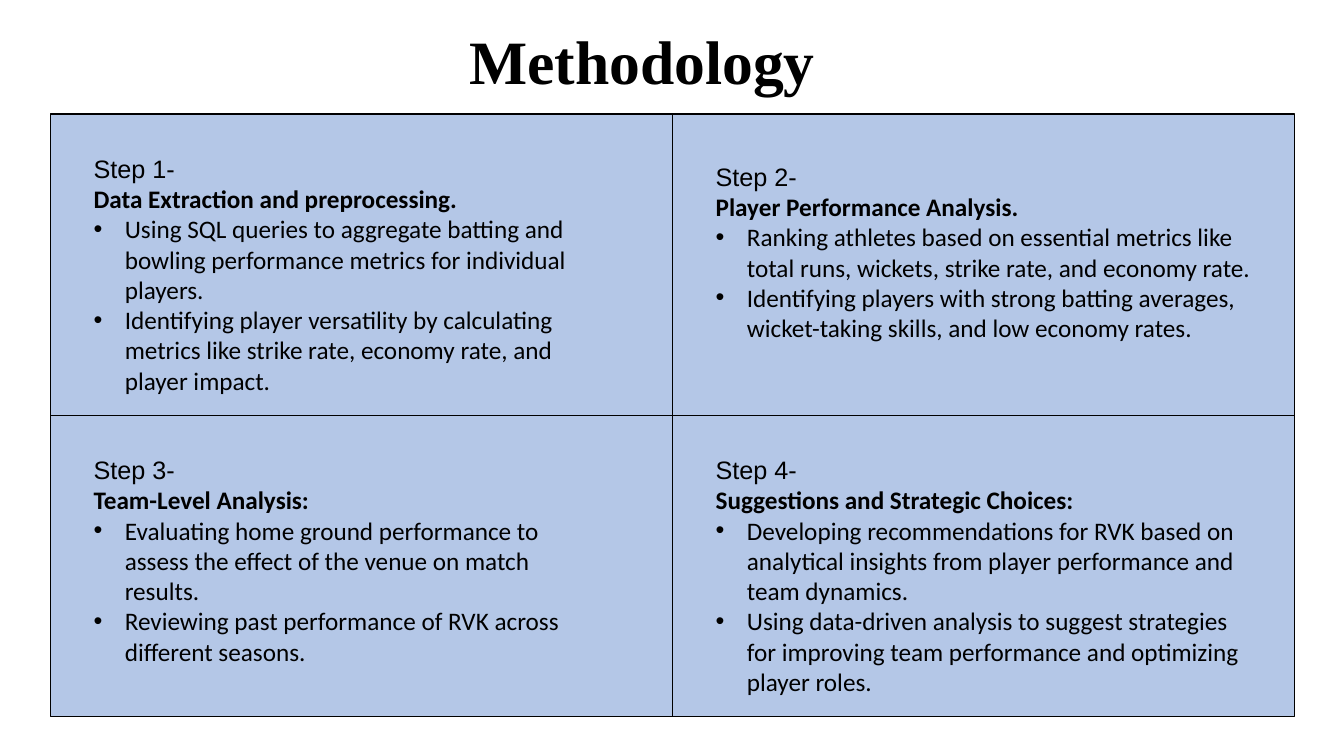
import pptx
import pptx.util
import pptx.dml.color
import pptx.enum.shapes
import pptx.enum.text
from lxml import etree
from pptx.oxml.ns import qn

Inches = pptx.util.Inches
Pt = pptx.util.Pt
BLACK = pptx.dml.color.RGBColor(0x00, 0x00, 0x00)
PANEL_BLUE = pptx.dml.color.RGBColor(0xB4, 0xC7, 0xE7)

SLIDE_WIDTH, SLIDE_HEIGHT = Inches(13.33), Inches(7.5)
TITLE_BOX = Inches(0.83), Inches(0.39), Inches(11.08), Inches(0.5)
BOARD_BOX = Inches(0.5), Inches(1.13), Inches(12.34), Inches(5.98)
COLUMNS = ROWS = 2
STEP_INSET = Inches(0.33)
STEP_WIDTHS = Inches(5.04), Inches(5.5)  # left and right column
BULLET_INDENT = Inches(0.31)

# Heading, bullets, and distance of the text from the top of its cell
STEPS = [
    ("Data Extraction and preprocessing.",
     ["Using SQL queries to aggregate batting and bowling performance "
      "metrics for individual players.",
      "Identifying player versatility by calculating metrics like strike "
      "rate, economy rate, and player impact."], Inches(0.34)),
    ("Player Performance Analysis.",
     ["Ranking athletes based on essential metrics like total runs, "
      "wickets, strike rate, and economy rate.",
      "Identifying players with strong batting averages, wicket-taking "
      "skills, and low economy rates."], Inches(0.42)),
    ("Team-Level Analysis:",
     ["Evaluating home ground performance to assess the effect of the "
      "venue on match results.",
      "Reviewing past performance of RVK across different seasons."],
     Inches(0.34)),
    ("Suggestions and Strategic Choices:",
     ["Developing recommendations for RVK based on analytical insights "
      "from player performance and team dynamics.",
      "Using data-driven analysis to suggest strategies for improving team "
      "performance and optimizing player roles."], Inches(0.34)),
]


def style(paragraph, font_name, size, bold=False):
    font = paragraph.font
    font.name, font.size, font.bold = font_name, Pt(size), bold
    font.color.rgb = BLACK


def add_bullet(paragraph):
    properties = paragraph._p.get_or_add_pPr()
    properties.set("marL", str(BULLET_INDENT))
    properties.set("indent", str(-BULLET_INDENT))
    bullet_font = etree.Element(qn("a:buFont"), typeface="Arial")
    bullet = etree.Element(qn("a:buChar"), char="•")
    properties.insert(0, bullet_font)
    properties.insert(1, bullet)


def add_title(slide, box):
    title = slide.shapes.title
    title.left, title.top, title.width, title.height = box
    frame = title.text_frame
    frame.text = "Methodology"
    frame.vertical_anchor = pptx.enum.text.MSO_ANCHOR.MIDDLE
    frame.auto_size = pptx.enum.text.MSO_AUTO_SIZE.NONE
    heading = frame.paragraphs[0]
    heading.alignment = pptx.enum.text.PP_ALIGN.CENTER
    heading.line_spacing = 0.9
    style(heading, "Times New Roman", 44, bold=True)


def add_divider(slide, *ends):
    divider = slide.shapes.add_connector(
        pptx.enum.shapes.MSO_CONNECTOR.STRAIGHT, *ends)
    divider.line.color.rgb = BLACK
    divider.line.width = Pt(0.5)
    etree.SubElement(divider._element.spPr, qn("a:effectLst"))


def add_step(slide, box, number, heading, bullets):
    frame = slide.shapes.add_textbox(*box).text_frame
    frame.word_wrap = True
    lines = [f"Step {number}-", heading, *bullets]
    frame.text = "\n".join(lines)
    label, topic, *points = frame.paragraphs
    style(label, "Arial", 18)
    style(topic, "Calibri", 18, bold=True)
    for point in points:
        style(point, "Calibri", 18)
        add_bullet(point)


def add_board(slide, box):
    """Panel cut into a grid, with one step in each cell."""
    left, top, width, height = box
    cell_width, cell_height = width // COLUMNS, height // ROWS
    panel = slide.shapes.add_shape(
        pptx.enum.shapes.MSO_SHAPE.RECTANGLE, *box)
    panel.shadow.inherit = False
    panel.fill.solid()
    panel.fill.fore_color.rgb = PANEL_BLUE
    panel.line.color.rgb = BLACK
    panel.line.width = Pt(1)

    middle_x, middle_y = left + cell_width, top + cell_height
    add_divider(slide, middle_x, top, middle_x, top + height)
    add_divider(slide, left, middle_y, left + width, middle_y)

    for index, (heading, bullets, offset) in enumerate(STEPS):
        row, column = divmod(index, COLUMNS)
        step_box = (left + column * cell_width + STEP_INSET,
                    top + row * cell_height + offset,
                    STEP_WIDTHS[column], cell_height - offset)
        add_step(slide, step_box, index + 1, heading, bullets)


def main():
    deck = pptx.Presentation()
    deck.slide_width, deck.slide_height = SLIDE_WIDTH, SLIDE_HEIGHT
    slide = deck.slides.add_slide(deck.slide_layouts.get_by_name("Title Only"))
    add_title(slide, TITLE_BOX)
    add_board(slide, BOARD_BOX)
    deck.save("out.pptx")


if __name__ == "__main__":
    main()
